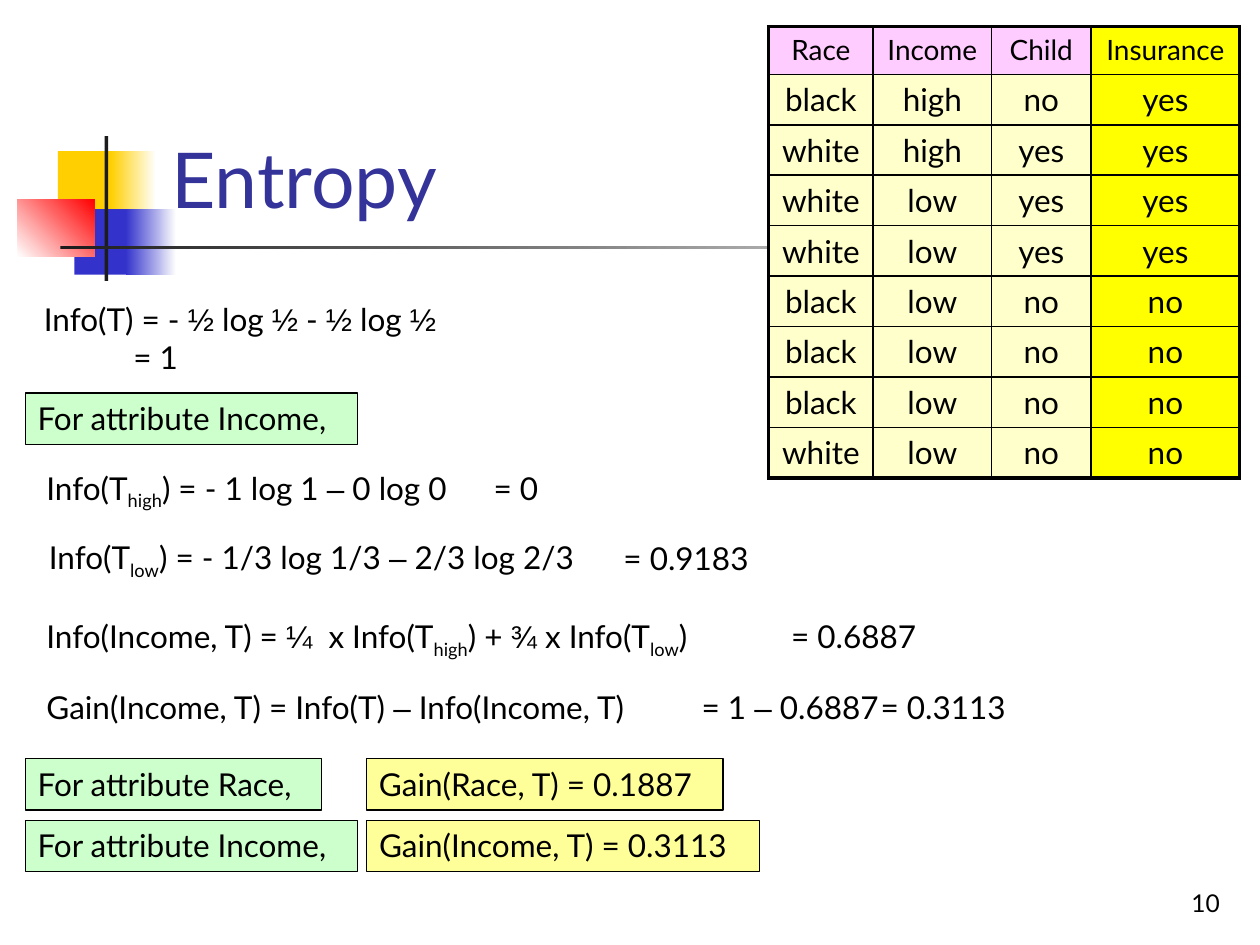
from dataclasses import dataclass
from itertools import groupby

from lxml.etree import SubElement
from pptx import Presentation
from pptx.dml.color import RGBColor
from pptx.enum.shapes import MSO_SHAPE
from pptx.enum.text import MSO_ANCHOR, MSO_AUTO_SIZE, PP_ALIGN
from pptx.oxml import parse_xml
from pptx.oxml.ns import nsdecls, qn
from pptx.util import Inches, Pt


@dataclass(frozen=True)
class Theme:
    """Hold the colours, fonts and type sizes of the slide."""
    ink: str = "000000"
    paper: str = "FFFFFF"
    navy: str = "333399"
    gold: str = "FFCF01"
    blue: str = "3333CC"
    red: str = "FF0000"
    bar: str = "1C1C1C"
    mint: str = "CCFFCC"
    lemon: str = "FFFF99"
    pink: str = "FFCCFF"
    cream: str = "FFFFCC"
    yellow: str = "FFFF00"
    font: str = "Lato"
    sign: str = "Arial"
    title: int = 44
    body: int = 18
    head: int = 16
    page: int = 14


T = Theme()
SIGNS = "½¼¾–"


def tint(hue):
    """Turn a hex string into a colour."""
    return RGBColor.from_string(hue)


def place(box, left, top, width, height):
    """Give the lengths of a part set relative to the corner of a box."""
    return [Inches(v) for v in (box[0] + left, box[1] + top, width, height)]


def write(frame, text, size=T.body, hue=T.ink, align=PP_ALIGN.LEFT,
          anchor=MSO_ANCHOR.TOP, indent=0):
    """Fill a frame; tildes enclose subscripts, later lines take the indent."""
    frame.word_wrap = True
    frame.auto_size = MSO_AUTO_SIZE.NONE
    frame.vertical_anchor = anchor
    for row, line in enumerate(text.split("\n")):
        para = frame.add_paragraph() if row else frame.paragraphs[0]
        para.alignment = align
        if row and indent:
            props = para._p.get_or_add_pPr()
            props.set("marL", str(Inches(indent)))
            props.set("indent", "0")
        for turn, part in enumerate(line.split("~")):
            for odd, chars in groupby(part, lambda c: c in SIGNS):
                run = para.add_run()
                run.text = "".join(chars)
                run.font.size = Pt(size)
                run.font.name = T.sign if odd else T.font
                run.font.color.rgb = tint(hue)
                if turn % 2:
                    run.font._element.set("baseline", "-25000")


def block(slide, spot, hue, fade=None, angle=0, line=None):
    """Draw a plain or fading rectangle."""
    shape = slide.shapes.add_shape(MSO_SHAPE.RECTANGLE, *spot)
    shape.shadow.inherit = False
    if fade:
        shape.fill.gradient()
        shape.fill.gradient_angle = angle
        for stop, shade in zip(shape.fill.gradient_stops, (hue, fade)):
            stop.color.rgb = tint(shade)
    else:
        shape.fill.solid()
        shape.fill.fore_color.rgb = tint(hue)
    if line:
        shape.line.color.rgb = tint(T.ink)
        shape.line.width = Pt(line)
    else:
        shape.line.fill.background()
    return shape


def label(slide, spot, text, **style):
    """Add a text box."""
    write(slide.shapes.add_textbox(*spot).text_frame, text, **style)


def badge(slide, box):
    """Draw the coloured squares and bars beside the title."""
    parts = [
        (0.32, 0.12, 0.48, 0.52, T.gold, None, 0),
        (0.74, 0.12, 0.36, 0.52, T.gold, T.paper, 0),
        (0.45, 0.58, 0.46, 0.52, T.blue, None, 0),
        (0.86, 0.58, 0.4, 0.52, T.blue, T.paper, 0),
        (0, 0.5, 0.61, 0.46, T.paper, T.red, 45),
        (0.69, 0, 0.03, 1.15, T.bar, None, 0),
        (0.34, 0.87, 9, 0.03, T.bar, T.paper, 0),
    ]
    for *spot, hue, fade, angle in parts:
        block(slide, place(box, *spot), hue, fade, angle)


def heading(slide, box):
    """Set the title."""
    title = slide.shapes.title
    title.left, title.top, title.width, title.height = place(box, 0, 0, 8.52, 1.6)
    write(title.text_frame, "Entropy", size=T.title, hue=T.navy,
          anchor=MSO_ANCHOR.BOTTOM)


def edge(cell, sides):
    """Line the four sides of a cell with the given widths."""
    props = cell._tc.get_or_add_tcPr()
    for spot, (side, width) in enumerate(zip("LRTB", sides)):
        line = parse_xml(f'<a:ln{side} {nsdecls("a")} w="{Pt(width)}"/>')
        fill = SubElement(line, qn("a:solidFill"))
        SubElement(fill, qn("a:srgbClr")).set("val", T.ink)
        props.insert(spot, line)


def records(slide, box):
    """Build the table of cases."""
    rows = [line.split() for line in (
        "Race Income Child Insurance", "black high no yes",
        "white high yes yes", "white low yes yes", "white low yes yes",
        "black low no no", "black low no no", "black low no no",
        "white low no no")]
    wide = (0.83, 0.94, 0.79, 1.18)
    last, end = len(rows) - 1, len(wide) - 1
    table = slide.shapes.add_table(
        len(rows), len(wide), *place(box, 0, 0, sum(wide), 3.58)).table
    table.first_row = table.horz_banding = False
    for col, width in zip(table.columns, wide):
        col.width = Inches(width)
    for r, row in enumerate(rows):
        table.rows[r].height = Inches(0.4 if r else 0.38)
        for c, text in enumerate(row):
            cell = table.cell(r, c)
            write(cell.text_frame, text, size=T.body if r else T.head,
                  align=PP_ALIGN.CENTER)
            cell.fill.solid()
            cell.fill.fore_color.rgb = tint(
                T.yellow if c == end else T.cream if r else T.pink)
            edge(cell, [2.25 if rim else 1
                        for rim in (c == 0, c == end, r == 0, r == last)])


def sums(slide, box):
    """Write out the steps of the sum."""
    steps = [
        (0, 0, 3.55, "Info(T) = - ½ log ½ - ½ log ½\n= 1"),
        (0.02, 1.34, 3.79, "Info(T~high~) = - 1 log 1 – 0 log 0"),
        (3.57, 1.34, 0.7, "= 0"),
        (0.04, 1.89, 4.57, "Info(T~low~) = - 1/3 log 1/3 – 2/3 log 2/3"),
        (4.6, 1.9, 1.3, "= 0.9183"),
        (0.02, 2.52, 5.91,
         "Info(Income, T) = ¼  x Info(T~high~) + ¾ x Info(T~low~)"),
        (5.93, 2.52, 1.3, "= 0.6887"),
        (0.02, 3.08, 5.19, "Gain(Income, T) = Info(T) – Info(Income, T)"),
        (5.22, 3.08, 1.73, "= 1 – 0.6887"),
        (6.64, 3.08, 1.3, "= 0.3113"),
    ]
    for left, top, width, text in steps:
        high = 0.4 + 0.3 * text.count("\n")
        label(slide, place(box, left, top, width, high), text, indent=0.71)


def tags(slide, box):
    """Place the framed names and gains."""
    parts = [
        (0, 0, 2.64, T.mint, "For attribute Income,"),
        (0, 2.9, 2.35, T.mint, "For attribute Race,"),
        (2.71, 2.9, 2.83, T.lemon, "Gain(Race, T) = 0.1887"),
        (0, 3.39, 2.64, T.mint, "For attribute Income,"),
        (2.71, 3.39, 3.12, T.lemon, "Gain(Income, T) = 0.3113"),
    ]
    for left, top, width, hue, text in parts:
        shape = block(slide, place(box, left, top, width, 0.41), hue, line=0.75)
        write(shape.text_frame, text)


def build():
    """Make the deck and save it."""
    deck = Presentation()
    deck.slide_width, deck.slide_height = Inches(10), Inches(7.5)
    slide = deck.slides.add_slide(deck.slide_layouts[5])
    badge(slide, (0.14, 1.08))
    heading(slide, (1.26, 0.23))
    records(slide, (6.1, 0.21))
    sums(slide, (0.25, 2.33))
    tags(slide, (0.2, 3.12))
    label(slide, place((7.7, 6.83), 0, 0, 2.08, 0.5), "10", size=T.page,
          align=PP_ALIGN.RIGHT, anchor=MSO_ANCHOR.BOTTOM)
    deck.save("out.pptx")


build()
